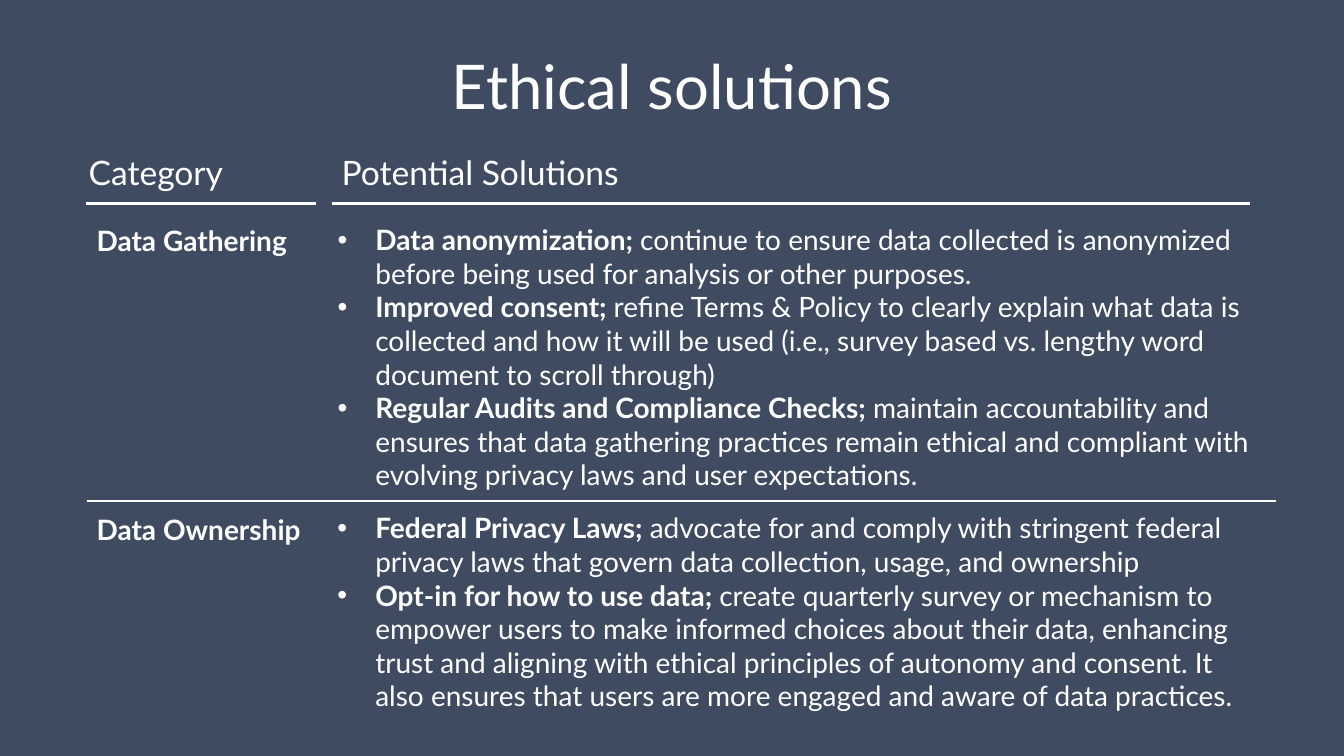
from lxml.etree import SubElement
from pptx import Presentation
from pptx.dml.color import RGBColor
from pptx.enum.shapes import MSO_CONNECTOR as Connector
from pptx.enum.text import MSO_ANCHOR as Anchor, MSO_AUTO_SIZE as AutoSize, PP_ALIGN as Align
from pptx.oxml.ns import qn
from pptx.util import Pt

COLORS = {"background": "3F4B61", "text": "FFFFFF"}
FONT = "Lato"
BULLET_INDENT = 27

# Column headings: text, text left, rule start, rule end
HEADINGS = [
    ("Category", 56.2, 61.2, 225.4),
    ("Potential Solutions", 236.9, 236.9, 892.8),
]

# Rows: category, label top, solutions box (left, top, width, height), solutions
ROWS = [
    ("Data Gathering", 156.2, (234, 155.5, 685.4, 200.9), [
        ("Data anonymization; ",
         "continue to ensure data collected is anonymized before being used "
         "for analysis or other purposes."),
        ("Improved consent; ",
         "refine Terms & Policy to clearly explain what data is collected and how "
         "it will be used (i.e., survey based vs. lengthy word document to scroll through)"),
        ("Regular Audits and Compliance Checks; ",
         "maintain accountability and ensures that data gathering practices remain "
         "ethical and compliant with evolving privacy laws and user expectations."),
    ]),
    ("Data Ownership", 362.9, (234, 361.4, 671.8, 152.6), [
        ("Federal Privacy Laws; ",
         "advocate for and comply with stringent federal privacy laws that govern "
         "data collection, usage, and ownership"),
        ("Opt-in for how to use data; ",
         "create quarterly survey or mechanism to empower users to make informed "
         "choices about their data, enhancing trust and aligning with ethical "
         "principles of autonomy and consent. It also ensures that users are more "
         "engaged and aware of data practices."),
    ]),
]


def color(name):
    return RGBColor.from_string(COLORS[name])


def set_values(target, values):
    for name, value in values.items():
        setattr(target, name, value)


def add_run(paragraph, text, size, bold=False):
    run = paragraph.add_run()
    run.text = text
    set_values(run.font, {"name": FONT, "size": Pt(size), "bold": bold})
    run.font.color.rgb = color("text")


def add_title(slide, text):
    title = slide.shapes.title
    set_values(title, {"left": Pt(66.2), "top": Pt(28.8),
                       "width": Pt(828), "height": Pt(69.8)})
    set_values(title.text_frame, {"vertical_anchor": Anchor.MIDDLE,
                                  "auto_size": AutoSize.NONE})
    paragraph = title.text_frame.paragraphs[0]
    set_values(paragraph, {"alignment": Align.CENTER, "line_spacing": 0.9})
    add_run(paragraph, text, 44)


def add_text_box(slide, box):
    frame = slide.shapes.add_textbox(*map(Pt, box)).text_frame
    set_values(frame, {"word_wrap": True, "auto_size": AutoSize.SHAPE_TO_FIT_TEXT})
    return frame


def add_label(slide, box, text, size, bold=False):
    add_run(add_text_box(slide, box).paragraphs[0], text, size, bold)


def add_rule(slide, start, end, top, weight):
    rule = slide.shapes.add_connector(
        Connector.STRAIGHT, Pt(start), Pt(top), Pt(end), Pt(top))
    rule.line.color.rgb = color("text")
    rule.line.width = Pt(weight)
    SubElement(rule.element.spPr, qn("a:effectLst"))


def add_bullet(paragraph):
    properties = paragraph._p.get_or_add_pPr()
    properties.set("marL", str(Pt(BULLET_INDENT)))
    properties.set("indent", str(-Pt(BULLET_INDENT)))
    SubElement(properties, qn("a:buFont"), typeface="Arial")
    SubElement(properties, qn("a:buChar"), char="•")


def add_solutions(slide, box, solutions):
    frame = add_text_box(slide, box)
    for index, (name, description) in enumerate(solutions):
        paragraph = frame.add_paragraph() if index else frame.paragraphs[0]
        add_bullet(paragraph)
        add_run(paragraph, name, 20, bold=True)
        add_run(paragraph, description, 20)


def main():
    presentation = Presentation()
    set_values(presentation, {"slide_width": Pt(960), "slide_height": Pt(540)})
    slide = presentation.slides.add_slide(presentation.slide_layouts[5])
    slide.background.fill.solid()
    slide.background.fill.fore_color.rgb = color("background")

    add_title(slide, "Ethical solutions")

    # Column headings with their rules
    for text, left, start, end in HEADINGS:
        add_label(slide, (left, 105.1, end - left, 36), text, 24)
        add_rule(slide, start, end, 145.4, 2.25)

    # Categories with their solutions
    for category, top, box, solutions in ROWS:
        add_label(slide, (61.9, top, 197.3, 31.7), category, 20, bold=True)
        add_solutions(slide, box, solutions)

    # Divider between the rows
    add_rule(slide, 61.9, 911.5, 357.8, 1)

    presentation.save("out.pptx")


if __name__ == "__main__":
    main()
